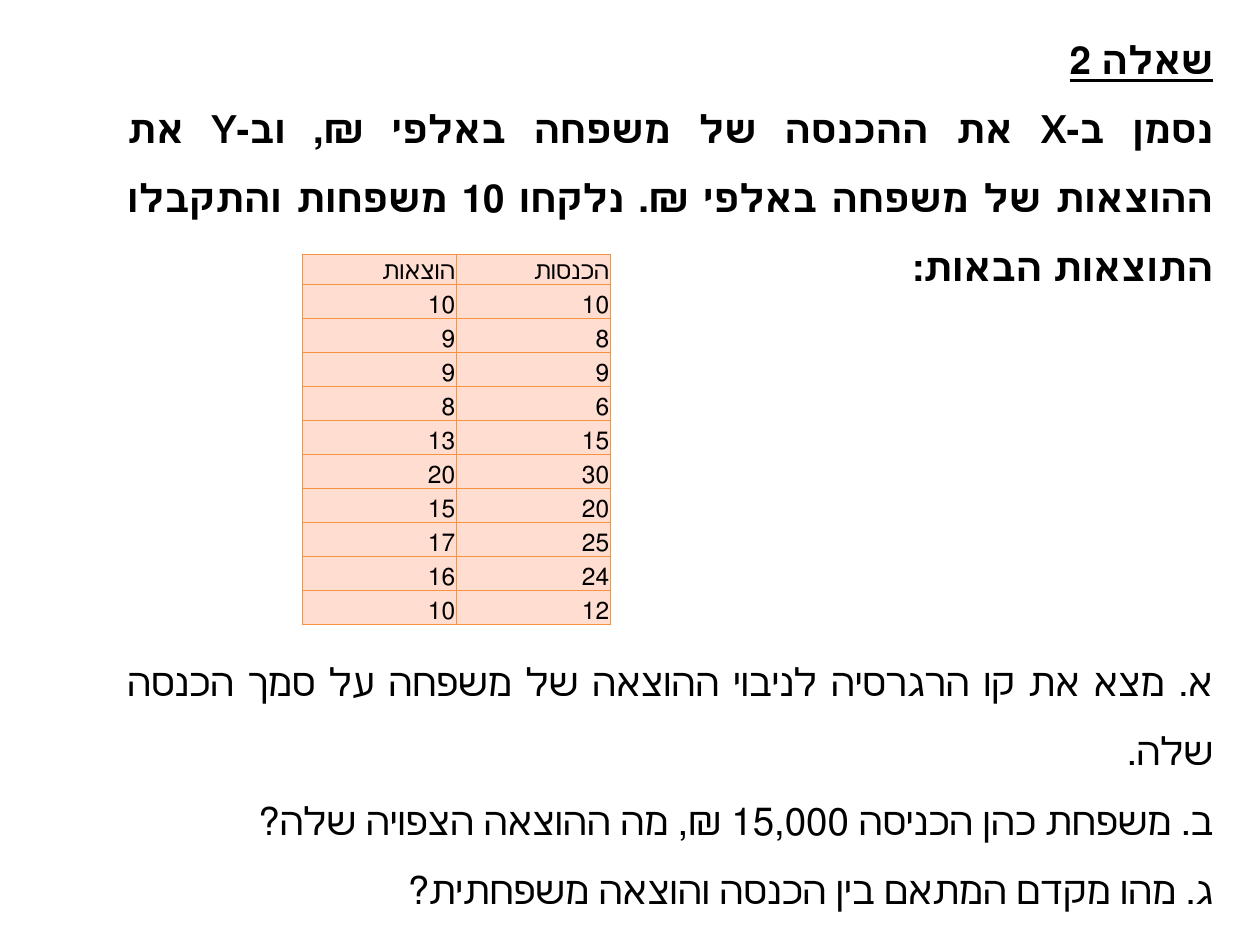
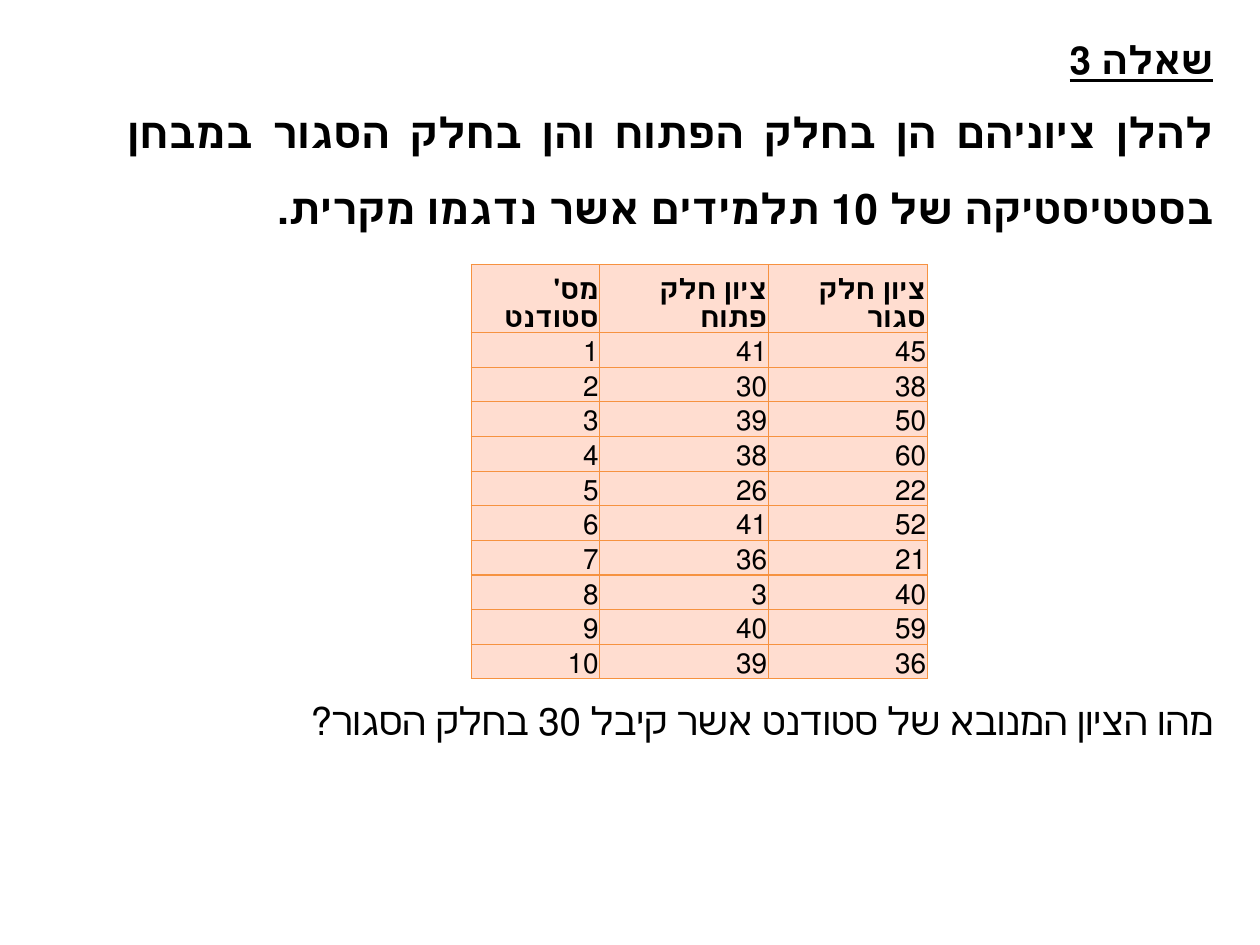
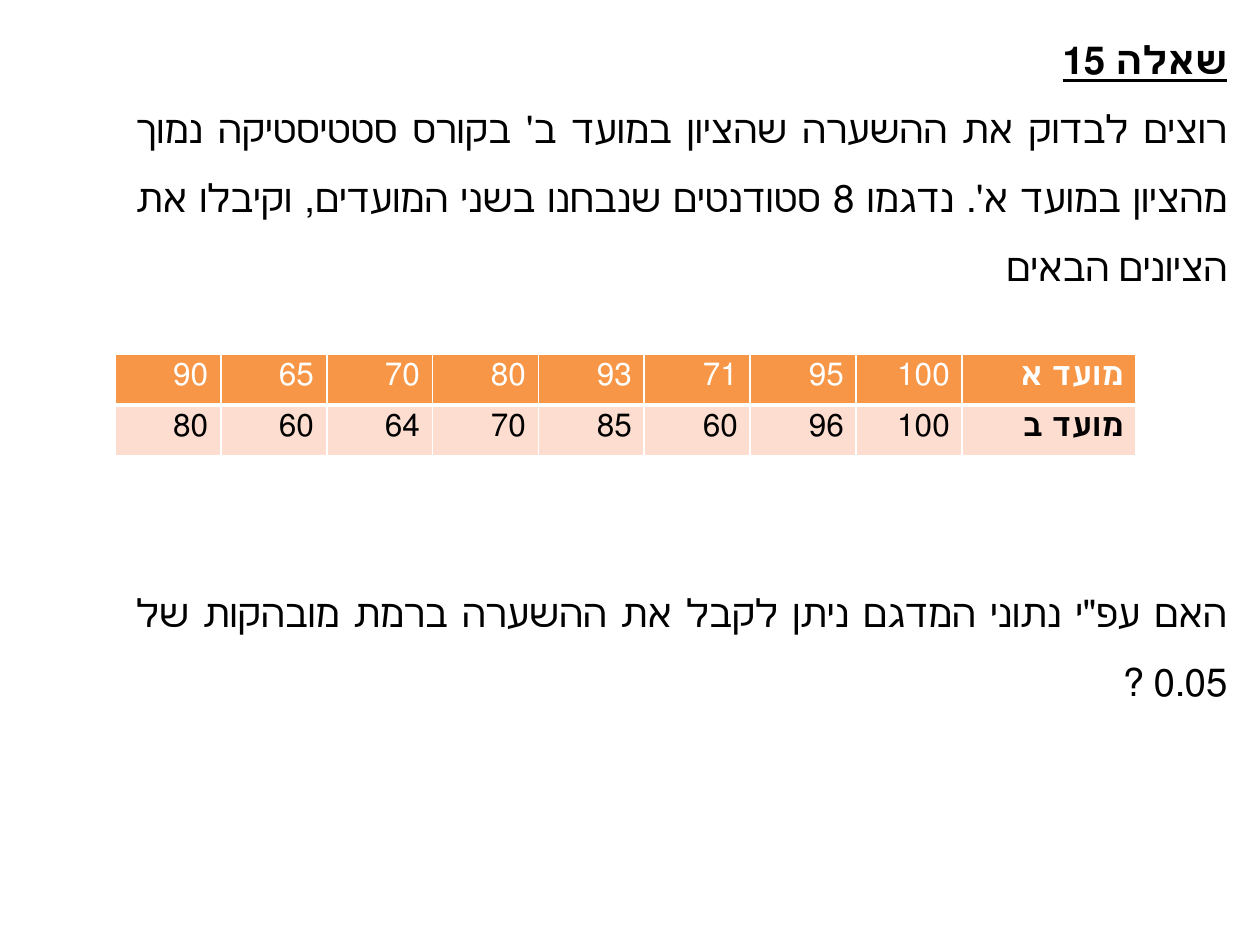
from lxml import etree
from pptx import Presentation
from pptx.dml.color import RGBColor
from pptx.enum import text
from pptx.oxml.ns import qn
from pptx.util import Pt

FONT = "Lato"
BLACK, WHITE, PEACH, ROSE = "000000", "FFFFFF", "FFDDD0", "FCDDCF"
ORANGE, EDGE = "F79646", "F69240"
TOP, LINE, SIZE = 3.6, 39.5, 22

PAGES = [
    dict(
        title="שאלה 2", left=65.5, width=635, bottom=530.6,
        intro="נסמן ב-X את ההכנסה של משפחה באלפי ₪, וב-Y את ההוצאות של משפחה "
              "באלפי ₪. נלקחו 10 משפחות והתקבלו התוצאות הבאות:",
        size=22, bold=True, gap=5 * LINE,
        asks=["א. מצא את קו הרגרסיה לניבוי ההוצאה של משפחה על סמך הכנסה שלה.",
              "ב. משפחת כהן הכניסה 15,000 ₪, מה ההוצאה הצפויה שלה?",
              "ג. מהו מקדם המתאם בין הכנסה והוצאה משפחתית?"],
        grid=dict(
            at=(172.8, 145.2), cols=[88] * 2, rows=[17.3] + [19.45] * 10,
            size=14, tight=True, fills=[PEACH] * 11, edge=EDGE,
            data=[("הוצאות", "הכנסות"), (10, 10), (9, 8), (9, 9), (8, 6), (13, 15),
                  (20, 30), (15, 20), (17, 25), (16, 24), (10, 12)])),
    dict(
        title="שאלה 3", left=65.5, width=635, bottom=476,
        intro="להלן ציוניהם הן בחלק הפתוח והן בחלק הסגור במבחן בסטטיסטיקה "
              "של 10 תלמידים אשר נדגמו מקרית.",
        size=24, bold=True, gap=252,
        asks=["מהו הציון המנובא של סטודנט אשר קיבל 30 בחלק הסגור?"],
        grid=dict(
            at=(269.3, 151.2), cols=[73.5, 96.3, 90.8], rows=[38.9] + [19.8] * 10,
            size=16, tight=True, fills=[PEACH] * 11, edge=EDGE, head=True,
            data=[("מס' סטודנט", "ציון חלק פתוח", "ציון חלק סגור"),
                  (1, 41, 45), (2, 30, 38), (3, 39, 50), (4, 38, 60), (5, 26, 22),
                  (6, 41, 52), (7, 36, 21), (8, 3, 40), (9, 40, 59), (10, 39, 36)])),
    dict(
        title="שאלה 15", left=70.6, width=638, bottom=450.7,
        intro="רוצים לבדוק את ההשערה שהציון במועד ב' בקורס סטטיסטיקה נמוך מהציון "
              "במועד א'. נדגמו 8 סטודנטים שנבחנו בשני המועדים, וקיבלו את הציונים הבאים",
        size=22, bold=False, gap=4 * LINE,
        asks=["האם עפ\"י נתוני המדגם ניתן לקבל את ההשערה ברמת מובהקות של 0.05 ?"],
        grid=dict(
            at=(65.5, 202.3), cols=[60.55] * 8 + [99.4], rows=[29.2] * 2,
            size=18, fills=[ORANGE, ROSE], edge=WHITE, inks=[WHITE, BLACK],
            wide=1.25, mid=3, side=True,
            data=[(90, 65, 70, 80, 93, 71, 95, 100, "מועד א"),
                  (80, 60, 64, 70, 85, 60, 96, 100, "מועד ב")])),
]


def rgb(code):
    return RGBColor.from_string(code)


def write(par, words, size=SIZE, bold=False, line=False, ink=BLACK,
          align=text.PP_ALIGN.JUSTIFY, lead=1.5, gap=0):
    """Fill a right-to-left paragraph with one formatted run."""
    props = par._p.get_or_add_pPr()
    for key, val in dict(marL="0", indent="0", rtl="1").items():
        props.set(key, val)
    etree.SubElement(props, qn("a:buNone"))
    par.alignment, par.line_spacing = align, lead
    par.space_before, par.space_after = Pt(gap), Pt(0)
    run = par.add_run()
    run.text = str(words)
    font = run.font
    font.name, font.size, font.bold, font.underline = FONT, Pt(size), bold, line
    font.color.rgb = rgb(ink)


def place(shape, left, top, width, height):
    shape.left, shape.top, shape.width, shape.height = map(Pt, (left, top, width, height))
    frame = shape.text_frame
    frame.word_wrap = True
    frame.auto_size = text.MSO_AUTO_SIZE.NONE
    frame.vertical_anchor = text.MSO_ANCHOR.TOP
    return frame


def border(cell, ink, **sides):
    """Draw the sides L, R, T, B of a cell in the given widths."""
    props = cell._tc.get_or_add_tcPr()
    for spot, (side, width) in enumerate(sides.items()):
        edge = etree.Element(qn("a:ln" + side), w=str(Pt(width)))
        fill = etree.SubElement(edge, qn("a:solidFill"))
        etree.SubElement(fill, qn("a:srgbClr"), val=ink)
        props.insert(spot, edge)


def table(slide, at, cols, rows, data, size, fills, edge, inks=None,
          tight=False, head=False, side=False, wide=0.75, mid=0.75):
    """Add a grid; mid is the width of the rule under the first row."""
    grid = slide.shapes.add_table(len(rows), len(cols), Pt(at[0]), Pt(at[1]),
                                  Pt(sum(cols)), Pt(sum(rows))).table
    grid.first_row = grid.horz_banding = False
    for col, width in zip(grid.columns, cols):
        col.width = Pt(width)
    for i, (row, high) in enumerate(zip(grid.rows, rows)):
        row.height = Pt(high)
        for j, cell in enumerate(row.cells):
            if tight:
                cell.margin_left = cell.margin_right = cell.margin_top = Pt(0.7)
                cell.margin_bottom = Pt(0)
                cell.vertical_anchor = text.MSO_ANCHOR.BOTTOM
            cell.fill.solid()
            cell.fill.fore_color.rgb = rgb(fills[i])
            border(cell, edge, L=wide, R=wide, T=mid if i == 1 else wide,
                   B=mid if i == 0 else wide)
            strong = (head and i == 0) or (side and j == len(cols) - 1)
            write(cell.text_frame.paragraphs[0], data[i][j], size=size, bold=strong,
                  ink=inks[i] if inks else BLACK, align=text.PP_ALIGN.RIGHT, lead=1.0)


def build(deck, page):
    slide = deck.slides.add_slide(deck.slide_layouts[1])
    left, width = page["left"], page["width"]
    name = place(slide.shapes.title, left, TOP, width, LINE + 7.2)
    write(name.paragraphs[0], page["title"], bold=True, line=True)
    top = TOP + LINE
    body = place(slide.placeholders[1], left, top, width, page["bottom"] - top)
    write(body.paragraphs[0], page["intro"], size=page["size"], bold=page["bold"])
    for i, ask in enumerate(page["asks"]):
        write(body.add_paragraph(), ask, gap=0 if i else page["gap"])
    table(slide, **page["grid"])


def main():
    deck = Presentation()
    deck.slide_width, deck.slide_height = Pt(720), Pt(540)
    for page in PAGES:
        build(deck, page)
    deck.save("out.pptx")


if __name__ == "__main__":
    main()
